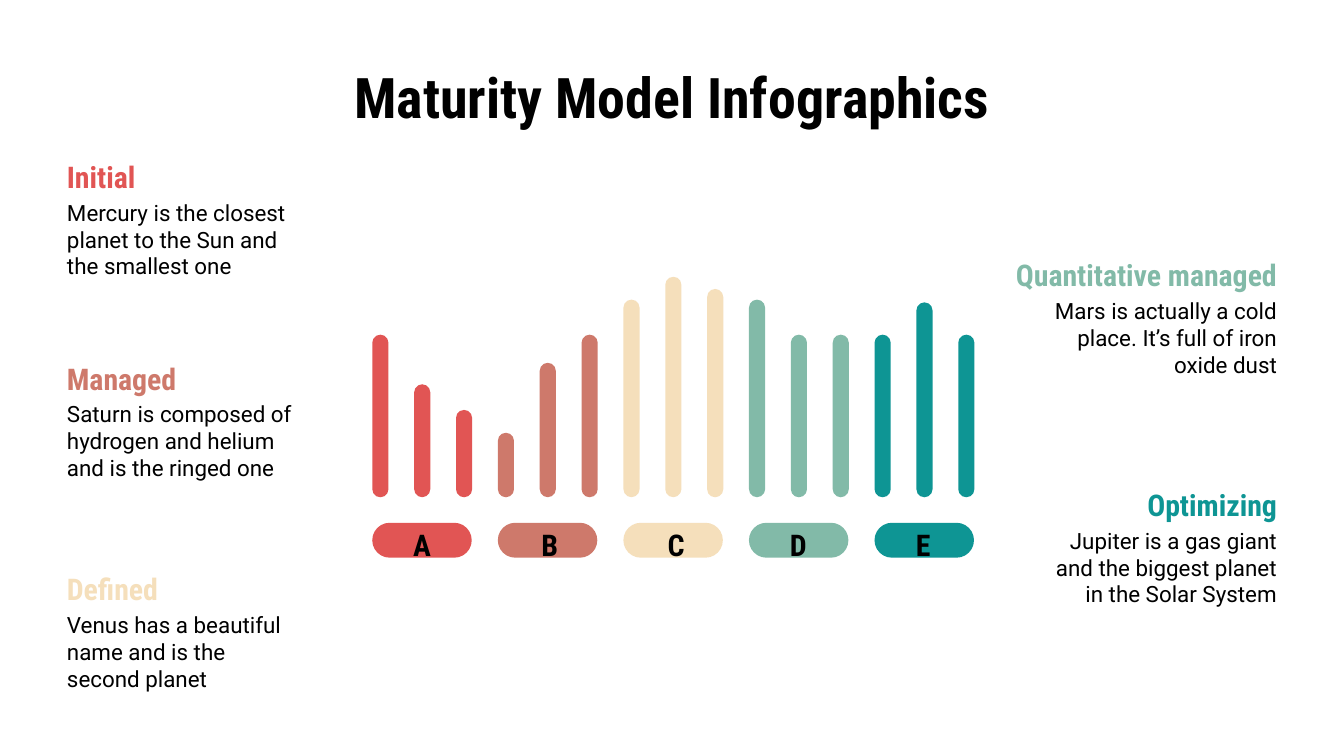
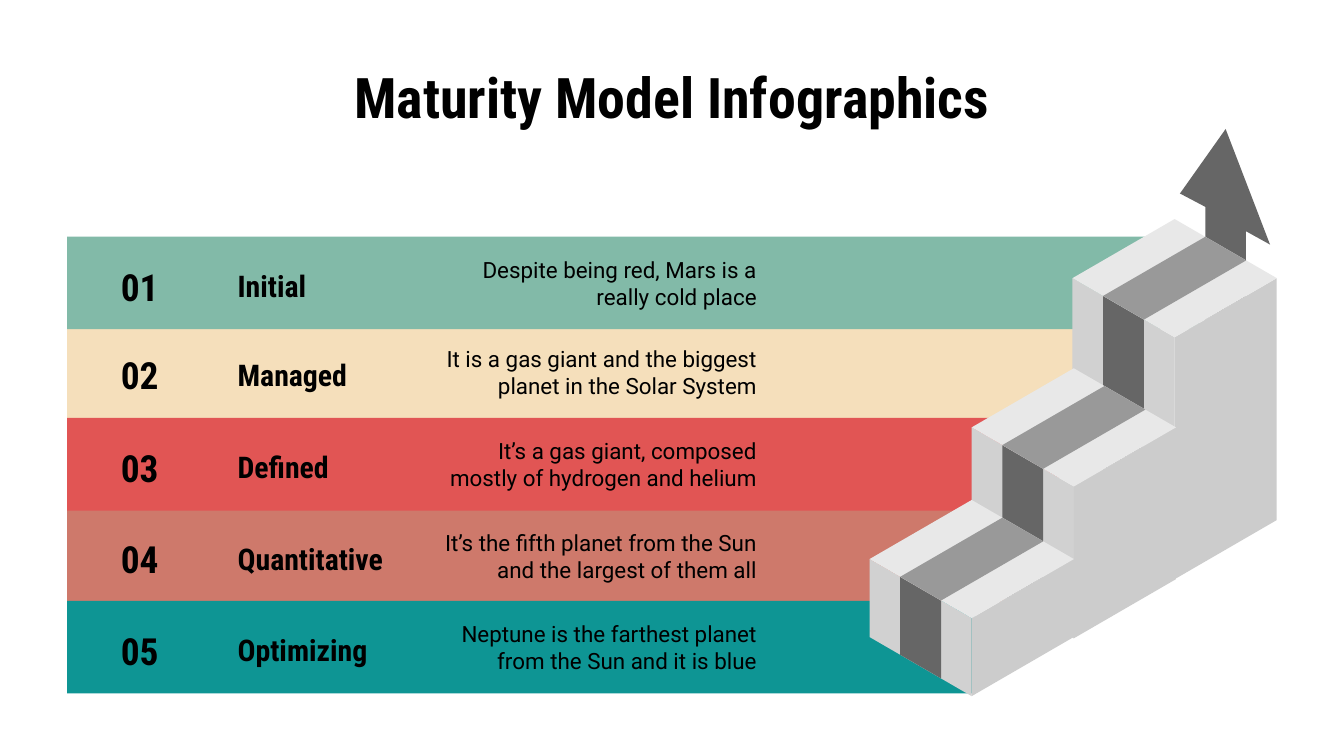
from pptx import Presentation
from pptx.dml.color import RGBColor
from pptx.enum.shapes import MSO_SHAPE
from pptx.enum.text import MSO_ANCHOR, PP_ALIGN
from pptx.util import Inches, Pt

COLORS = {
    "red": "E15554", "clay": "CE796B", "cream": "F5DFBB",
    "green": "82BAA8", "teal": "0E9594", "black": "000000",
    "arrow": "666666", "stripe_front": "666666", "stripe_top": "999999",
    "front": "D1D1D1", "side": "CCCCCC", "top": "E8E8E8",
}
SLIDE_WIDTH = 10
TITLE = "Maturity Model Infographics"

CONDENSED = {"name": "Roboto Condensed", "bold": True}
STYLES = {
    "title": {"font": {**CONDENSED, "size": Pt(30)}, "paragraph": {}},
    "number": {"font": {**CONDENSED, "size": Pt(20)}, "paragraph": {"line_spacing": 1.15}},
    "heading": {"font": {**CONDENSED, "size": Pt(16)}, "paragraph": {"line_spacing": 1.15}},
    "body": {"font": {"name": "Roboto", "size": Pt(12)}, "paragraph": {}},
}

# Letter, colour, centre of the letter, tops of the three bars
BAR_GROUPS = [
    ("A", "red", 3.14, (2.49, 2.86, 3.05)),
    ("B", "clay", 4.09, (3.22, 2.7, 2.49)),
    ("C", "cream", 5.03, (2.23, 2.06, 2.15)),
    ("D", "green", 5.94, (2.23, 2.49, 2.49)),
    ("E", "teal", 6.87, (2.49, 2.25, 2.49)),
]
# Side, top, heading width, colour, heading, description
LEVELS = [
    ("left", 1.04, 1.26, "red", "Initial",
     "Mercury is the closest planet to the Sun and the smallest one"),
    ("left", 2.54, 1.26, "clay", "Managed",
     "Saturn is composed of hydrogen and helium and is the ringed one"),
    ("left", 4.11, 1.26, "cream", "Defined",
     "Venus has a beautiful name and is the second planet"),
    ("right", 1.77, 2.27, "green", "Quantitative managed",
     "Mars is actually a cold place. It’s full of iron oxide dust"),
    ("right", 3.48, 1.43, "teal", "Optimizing",
     "Jupiter is a gas giant and the biggest planet in the Solar System"),
]
# Top, width, colour, heading, description
BANDS = [
    (1.76, 8.42, "green", "Initial", "Despite being red, Mars is a really cold place"),
    (2.42, 7.94, "cream", "Managed",
     "It is a gas giant and the biggest planet in the Solar System"),
    (3.11, 7.38, "red", "Defined", "It’s a gas giant, composed mostly of hydrogen and helium"),
    (3.79, 7.94, "clay", "Quantitative",
     "It’s the fifth planet from the Sun and the largest of them all"),
    (4.47, 6.75, "teal", "Optimizing",
     "Neptune is the farthest planet from the Sun and it is blue"),
]
BAND_STACKING = (3, 4, 1, 0, 2)
BAND_LEFT, BAND_HEIGHT = 0.5, 0.69

# Left corner of the tread and height of the block, highest step first
STEPS = [(7.98, 2.07, 1.8), (7.23, 3.18, 1.13), (6.47, 4.16, 0.58)]
STEP_DX, STEP_DY = 0.76, 0.44
STRIPE_START, STRIPE_END = 0.3, 0.7
ARROW = [(9.12, 0.96), (8.78, 1.44), (8.97, 1.54), (8.97, 2.98),
         (9.27, 3.15), (9.27, 1.72), (9.45, 1.82)]


def paint(shape, color):
    shape.shadow.inherit = False
    shape.fill.solid()
    shape.fill.fore_color.rgb = RGBColor.from_string(COLORS[color])
    shape.line.fill.background()


def add_block(slide, kind, left, top, width, height, color):
    block = slide.shapes.add_shape(
        kind, Inches(left), Inches(top), Inches(width), Inches(height))
    paint(block, color)
    if kind == MSO_SHAPE.ROUNDED_RECTANGLE:
        block.adjustments[0] = 0.5


def add_outline(slide, points, color):
    corners = [(Inches(x), Inches(y)) for x, y in points]
    builder = slide.shapes.build_freeform(*corners[0])
    builder.add_line_segments(corners[1:], close=True)
    paint(builder.convert_to_shape(), color)


def add_text(slide, text, left, top, width, height, style, color="black",
             align=PP_ALIGN.LEFT, anchor=MSO_ANCHOR.MIDDLE, margin_right=0.1):
    box = slide.shapes.add_textbox(
        Inches(left), Inches(top), Inches(width), Inches(height))
    frame = box.text_frame
    frame_format = {
        "word_wrap": True, "vertical_anchor": anchor,
        "margin_left": Inches(0.1), "margin_right": Inches(margin_right),
        "margin_top": Inches(0.1), "margin_bottom": Inches(0.1),
    }
    paragraph = frame.paragraphs[0]
    run = paragraph.add_run()
    run.text = text
    for target, values in (
        (frame, frame_format),
        (paragraph, {"alignment": align, **STYLES[style]["paragraph"]}),
        (run.font, STYLES[style]["font"]),
    ):
        for key, value in values.items():
            setattr(target, key, value)
    run.font.color.rgb = RGBColor.from_string(COLORS[color])


def add_titled_slide(deck):
    slide = deck.slides.add_slide(deck.slide_layouts[6])
    add_text(slide, TITLE, 0.5, 0.45, 9, 0.53, "title", align=PP_ALIGN.CENTER)
    return slide


def build_bars_slide(deck):
    slide = add_titled_slide(deck)
    first_bar, last_bar, bar_bottom, bar_width = 2.77, 7.13, 3.7, 0.12
    pitch = (last_bar - first_bar) / (3 * len(BAR_GROUPS) - 1)
    for group, (letter, color, letter_center, tops) in enumerate(BAR_GROUPS):
        left = first_bar + 3 * group * pitch
        for position, top in enumerate(tops):
            add_block(slide, MSO_SHAPE.ROUNDED_RECTANGLE, left + position * pitch,
                      top, bar_width, bar_bottom - top, color)
        add_block(slide, MSO_SHAPE.ROUNDED_RECTANGLE, left, 3.89, 0.74, 0.26, color)
        add_text(slide, letter, letter_center - 0.25, 3.92, 0.5, 0.23, "heading",
                 align=PP_ALIGN.CENTER)

    margin, body_width = 0.4, 1.92
    for side, top, heading_width, color, heading, description in LEVELS:
        align = PP_ALIGN.LEFT if side == "left" else PP_ALIGN.RIGHT
        for text, offset, width, height, style, text_color in (
            (heading, 0, heading_width, 0.42, "heading", color),
            (description, 0.34, body_width, 0.63, "body", "black"),
        ):
            left = margin if side == "left" else SLIDE_WIDTH - margin - width
            add_text(slide, text, left, top + offset, width, height, style,
                     text_color, align, MSO_ANCHOR.TOP)


def add_step(slide, left, top, height):
    def tread(right_down, right_up):
        """Point on the tread, in shares of its two sides from the left corner."""
        return (left + (right_down + right_up) * STEP_DX,
                top + (right_down - right_up) * STEP_DY)

    def wall(start, end):
        return [start, end, (end[0], end[1] + height), (start[0], start[1] + height)]

    def strip(start, end):
        return [tread(start, 0), tread(end, 0), tread(end, 1), tread(start, 1)]

    for points, color in (
        (wall(tread(0, 0), tread(1, 0)), "front"),
        (wall(tread(STRIPE_START, 0), tread(STRIPE_END, 0)), "stripe_front"),
        (wall(tread(1, 0), tread(1, 1)), "side"),
        (strip(0, 1), "top"),
        (strip(STRIPE_START, STRIPE_END), "stripe_top"),
    ):
        add_outline(slide, points, color)


def build_stairs_slide(deck):
    slide = add_titled_slide(deck)
    for index in BAND_STACKING:
        top, width, color = BANDS[index][:3]
        add_block(slide, MSO_SHAPE.RECTANGLE, BAND_LEFT, top, width, BAND_HEIGHT, color)

    add_outline(slide, ARROW, "arrow")
    for step in STEPS:
        add_step(slide, *step)

    for number, (top, _, _, heading, description) in enumerate(BANDS, start=1):
        for text, left, width, height, style, align, margin_right in (
            (f"{number:02}", 0.66, 0.76, 0.27, "number", PP_ALIGN.CENTER, 0.1),
            (heading, 1.67, 1.51, 0.35, "heading", PP_ALIGN.LEFT, 0.25),
            (description, 3.18, 2.55, 0.52, "body", PP_ALIGN.RIGHT, 0.1),
        ):
            add_text(slide, text, left, top + (BAND_HEIGHT - height) / 2, width, height,
                     style, align=align, margin_right=margin_right)


def main():
    deck = Presentation()
    deck.slide_width = Inches(SLIDE_WIDTH)
    deck.slide_height = Inches(SLIDE_WIDTH * 9 / 16)
    build_bars_slide(deck)
    build_stairs_slide(deck)
    deck.save("out.pptx")


if __name__ == "__main__":
    main()
